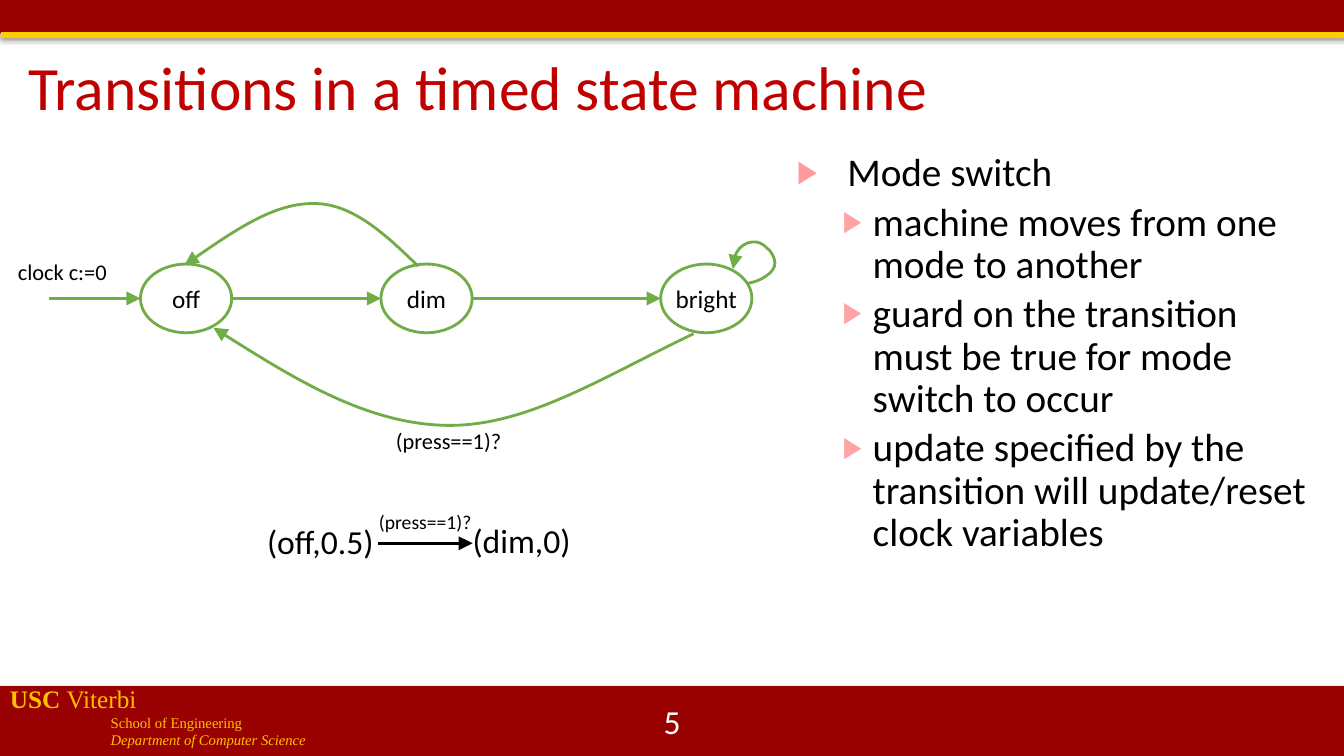
"""Build the slide on transitions in a timed state machine."""
from lxml import etree
from pptx import Presentation, util as u
from pptx.dml.color import RGBColor
from pptx.enum import shapes as kinds, text as t
from pptx.oxml.ns import qn

Cm, Pt = u.Cm, u.Pt
HUES = {"red": "990000", "gold": "FFCC00", "title": "C00000", "school": "FFC000",
        "green": "70AD47", "black": "000000", "white": "FFFFFF",
        "mark": "FF9B9B", "submark": "FFA3A3"}
RGB = {name: RGBColor.from_string(code) for name, code in HUES.items()}


def style(para, size, hue="black", face="Calibri"):
    para.font.size = Pt(size)
    para.font.name = face
    para.font.color.rgb = RGB[hue]


def ink(item, hue="green"):
    item.line.color.rgb = RGB[hue]
    item.line.width = Pt(2)
    etree.SubElement(item.line._get_or_add_ln(), qn("a:tailEnd"),
                     type="triangle", w="lg", len="lg")
    etree.SubElement(item._element.spPr, qn("a:effectLst"))


deck = Presentation()
deck.slide_width, deck.slide_height = Cm(33.87), Cm(19.05)
slide = deck.slides.add_slide(deck.slide_layouts[1])
draw = slide.shapes

bars = [("red", 0, 0, 33.87, 0.84, 35, 1.8),
        ("gold", 0.03, 0.81, 33.84, 0.15, 38, 1.6),
        ("red", 0, 17.29, 33.87, 1.76, 35, 1.8)]
for hue, x, y, w, h, alpha, dist in bars:
    bar = draw.add_shape(kinds.MSO_SHAPE.RECTANGLE, Cm(x), Cm(y), Cm(w), Cm(h))
    bar.fill.solid()
    bar.fill.fore_color.rgb = RGB[hue]
    bar.line.fill.background()
    bar.shadow.inherit = False
    glow = etree.SubElement(bar._element.spPr.find(qn("a:effectLst")), qn("a:outerShdw"),
                            blurRad=str(Pt(3.1)), dist=str(Pt(dist)),
                            dir="5400000", rotWithShape="0")
    shade = etree.SubElement(glow, qn("a:srgbClr"), val=HUES["black"])
    etree.SubElement(shade, qn("a:alpha"), val=str(alpha * 1000))

school = draw.add_textbox(Cm(0), Cm(17.09), Cm(15.88), Cm(1.95)).text_frame
school.word_wrap = True
lines = [("USC ", 18, 0), ("School of Engineering", 10.5, 2.54),
         ("Department of Computer Science", 10.5, 2.54)]
for i, (words, size, left) in enumerate(lines):
    para = school.add_paragraph() if i else school.paragraphs[0]
    para.add_run().text = words
    para._p.get_or_add_pPr().set("marL", str(Cm(left)))
    style(para, size, "school", "Times New Roman")
school.paragraphs[0].runs[0].font.bold = True
school.paragraphs[0].add_run().text = "Viterbi"
school.paragraphs[2].font.italic = True

title, body = slide.placeholders[0], slide.placeholders[1]
title.left, title.top, title.width, title.height = Cm(0.46), Cm(1.19), Cm(30.33), Cm(2.16)
title.text_frame.text = "Transitions in a timed state machine"
title.text_frame.auto_size = t.MSO_AUTO_SIZE.NONE
title.text_frame.vertical_anchor = t.MSO_ANCHOR.MIDDLE
head = title.text_frame.paragraphs[0]
head.alignment = t.PP_ALIGN.LEFT
head.line_spacing = 0.9
style(head, 44, "title")

body.left, body.top, body.width, body.height = Cm(19.83), Cm(3.73), Cm(13.67), Cm(12.09)
body.text_frame.auto_size = t.MSO_AUTO_SIZE.NONE
points = ["Mode switch", "machine moves from one mode to another",
          "guard on the transition must be true for mode switch to occur",
          "update specified by the transition will update/reset clock variables"]
for i, words in enumerate(points):
    para = body.text_frame.add_paragraph() if i else body.text_frame.paragraphs[0]
    para.text = words
    para.level = min(i, 1)
    left, hang, hue, size = (1.91, 0.76, "submark", 75) if i else (1.27, 1.27, "mark", 80)
    props = para._p.get_or_add_pPr()
    props.set("marL", str(Cm(left)))
    props.set("indent", str(-Cm(hang)))
    tint = etree.SubElement(props, qn("a:buClr"))
    etree.SubElement(tint, qn("a:srgbClr"), val=HUES[hue])
    etree.SubElement(props, qn("a:buSzPct"), val=str(size * 1000))
    etree.SubElement(props, qn("a:buChar"), char="▶")
    para.line_spacing = 0.9
    para.space_before = Pt(5 if i else 0)
    style(para, 28)

MID, WIDE, HIGH = 7.52, 2.3, 1.73
last = 1.23
for name, x in [("off", 3.54), ("dim", 9.6), ("bright", 16.65)]:
    state = draw.add_shape(kinds.MSO_SHAPE.OVAL, Cm(x), Cm(MID - HIGH / 2), Cm(WIDE), Cm(HIGH))
    state.fill.solid()
    state.fill.fore_color.rgb = RGB["white"]
    state.line.color.rgb = RGB["green"]
    state.line.width = Pt(2)
    state.shadow.inherit = False
    frame = state.text_frame
    frame.margin_left = frame.margin_right = frame.margin_top = frame.margin_bottom = 0
    frame.vertical_anchor = t.MSO_ANCHOR.MIDDLE
    frame.text = name
    frame.paragraphs[0].alignment = t.PP_ALIGN.CENTER
    style(frame.paragraphs[0], 18)
    ink(draw.add_connector(kinds.MSO_CONNECTOR.STRAIGHT, Cm(last), Cm(MID), Cm(x), Cm(MID)))
    last = x + WIDE

step = draw.add_connector(kinds.MSO_CONNECTOR.STRAIGHT, Cm(9.53), Cm(13.69), Cm(11.91), Cm(13.69))
ink(step, "black")

curves = [
    [(17.48, 8.41), (15.14, 9.53), (13.28, 10.74), (11.28, 10.72),
     (9.25, 10.69), (7.26, 9.45), (5.38, 8.26)],
    [(18.85, 7.14), (19.02, 7.11), (19.2, 7.04), (19.3, 6.96),
     (19.43, 6.88), (19.53, 6.76), (19.53, 6.63),
     (19.53, 6.5), (19.43, 6.32), (19.33, 6.25),
     (19.23, 6.15), (19.1, 6.07), (18.95, 6.1),
     (18.82, 6.1), (18.64, 6.22), (18.57, 6.35),
     (18.52, 6.45), (18.49, 6.58), (18.47, 6.78)],
    [(10.54, 6.71), (9.73, 5.92), (8.89, 5.13), (7.92, 5.13),
     (6.93, 5.11), (5.79, 5.89), (4.65, 6.68)],
]
for knots in curves:
    knots = [(Cm(x), Cm(y)) for x, y in knots]
    pen = draw.build_freeform(*knots[0])
    pen.add_line_segments(knots[1:], close=False)
    arc = pen.convert_to_shape()
    track = next(arc._element.iter(qn("a:moveTo"))).getparent()
    legs = track.findall(qn("a:lnTo"))
    for k in range(0, len(legs), 3):
        bend = etree.SubElement(track, qn("a:cubicBezTo"))
        for leg in legs[k:k + 3]:
            bend.append(leg[0])
            track.remove(leg)
    arc.fill.background()
    ink(arc)

labels = [("(press==1)?", 9.73, 10.64, 3.2, 0.94, 16, False),
          ("clock c:=0", 0.2, 6.38, 2.77, 0.94, 16, False),
          ("(off,0.5)", 6.73, 13.23, 3.07, 0.94, 24, True),
          ("(dim,0)", 11.91, 13.21, 3.07, 0.94, 24, True),
          ("(press==1)?", 9.3, 12.73, 2.87, 0.86, 14, False)]
for words, x, y, w, h, size, tight in labels:
    frame = draw.add_textbox(Cm(x), Cm(y), Cm(w), Cm(h)).text_frame
    frame.word_wrap = tight
    frame.text = words
    if tight:
        frame.margin_left = frame.margin_right = frame.margin_top = frame.margin_bottom = 0
        frame.paragraphs[0].line_spacing = 0.9
    style(frame.paragraphs[0], size)

page = draw.add_textbox(Cm(13.13), Cm(17.65), Cm(7.62), Cm(1.02)).text_frame
page.word_wrap = True
page.vertical_anchor = t.MSO_ANCHOR.MIDDLE
page.text = "5"
page.paragraphs[0].alignment = t.PP_ALIGN.CENTER
style(page.paragraphs[0], 24, "white")

deck.save("out.pptx")
